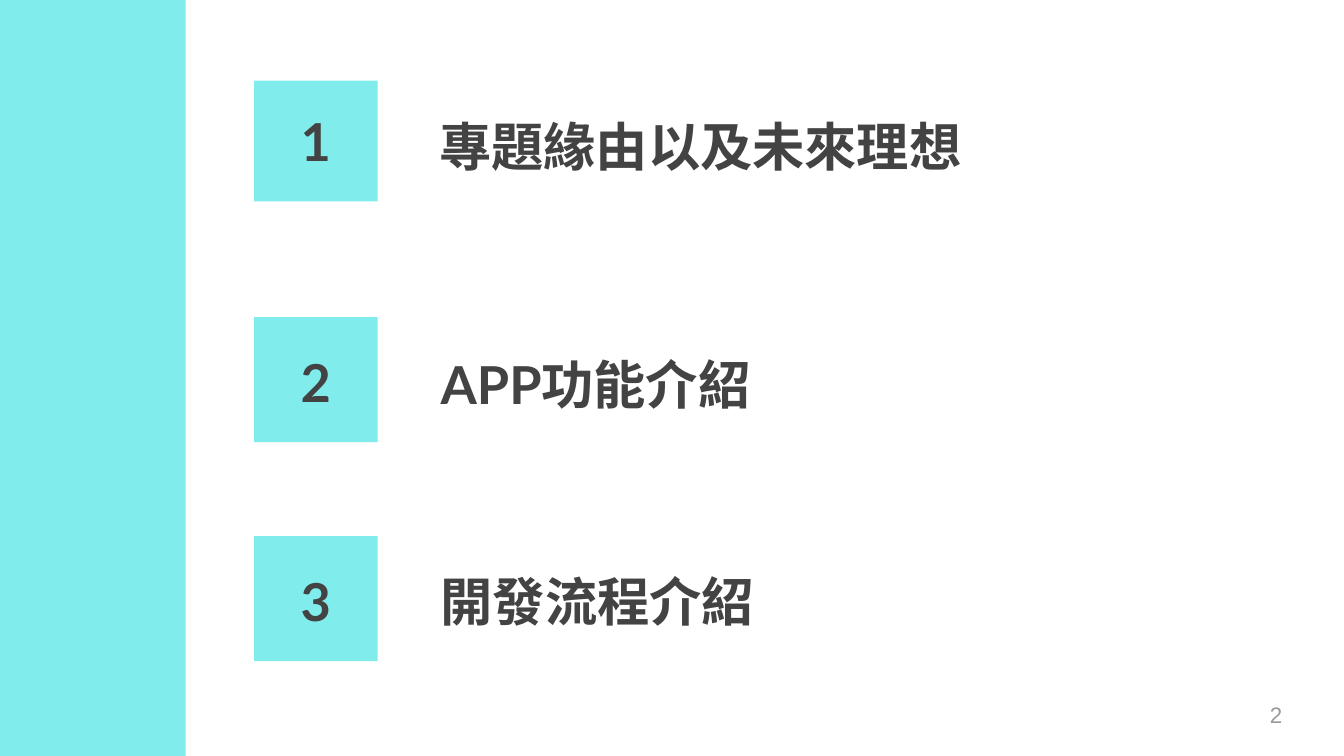
from dataclasses import dataclass

from pptx import Presentation
from pptx import util as u
from pptx.dml import color
from pptx.enum import shapes, text

AQUA, DARK, GREY = "81ECEC", "434343", "999999"
HEADING = {"name": "Lato", "size": u.Pt(28), "bold": True}
PAGE_NUMBER = {"name": "Arial", "size": u.Pt(12), "bold": False}
TILE_LEFT, TILE_WIDTH, NUMBER_HEIGHT = 136.1, 66.2, 64.8


@dataclass
class Area:
    left: float
    top: float
    width: float
    height: float

    def lengths(self) -> list:
        return [u.Pt(v) for v in (self.left, self.top, self.width, self.height)]


@dataclass
class Topic:
    label: str
    tile_top: float
    tile_height: float
    label_area: Area


TOPICS = [
    Topic("專題緣由以及未來理想", 43.2, 64.8, Area(228.2, 54.7, 445, 47.5)),
    Topic("APP功能介紹", 169.9, 67, Area(229, 175.7, 418.3, 54)),
    Topic("開發流程介紹", 287.3, 67, Area(229, 291.6, 418.3, 54)),
]


def rgb(value: str) -> color.RGBColor:
    return color.RGBColor.from_string(value)


def add_block(page, area: Area) -> None:
    block = page.shapes.add_shape(shapes.MSO_SHAPE.RECTANGLE, *area.lengths())
    block.shadow.inherit = False
    block.fill.solid()
    block.fill.fore_color.rgb = rgb(AQUA)
    block.line.fill.background()


def write(box, area: Area, words: str, font: dict, ink: str,
          anchor=text.MSO_ANCHOR.MIDDLE, align=text.PP_ALIGN.LEFT) -> None:
    box.left, box.top, box.width, box.height = area.lengths()
    frame = box.text_frame
    frame_format = {"word_wrap": True, "auto_size": text.MSO_AUTO_SIZE.NONE,
                    "vertical_anchor": anchor}
    for side in ("left", "top", "right", "bottom"):
        frame_format[f"margin_{side}"] = u.Pt(7.2)
    for name, value in frame_format.items():
        setattr(frame, name, value)
    para = frame.paragraphs[0]
    para.alignment = align
    span = para.add_run()
    span.text = words
    for name, value in font.items():
        setattr(span.font, name, value)
    span.font.color.rgb = rgb(ink)


def add_topic(page, number: int, topic: Topic) -> None:
    add_block(page, Area(TILE_LEFT, topic.tile_top, TILE_WIDTH, topic.tile_height))
    # The number sits at the bottom of its tile
    number_top = topic.tile_top + topic.tile_height - NUMBER_HEIGHT
    number_area = Area(TILE_LEFT, number_top, TILE_WIDTH, NUMBER_HEIGHT)
    write(page.shapes.add_textbox(*number_area.lengths()), number_area, str(number),
          HEADING, DARK, align=text.PP_ALIGN.CENTER)
    # The first topic takes the title placeholder
    if number == 1:
        box = page.shapes.title
    else:
        box = page.shapes.add_textbox(*topic.label_area.lengths())
    write(box, topic.label_area, topic.label, HEADING, DARK, text.MSO_ANCHOR.BOTTOM)


def main() -> None:
    deck = Presentation()
    deck.slide_width, deck.slide_height = u.Pt(720), u.Pt(405)
    page = deck.slides.add_slide(deck.slide_layouts.get_by_name("Title Only"))

    # Side band
    add_block(page, Area(0, 0, 99.4, 405))

    # Numbered topics
    for number, topic in enumerate(TOPICS, start=1):
        add_topic(page, number, topic)

    # Page number
    corner = Area(673.2, 367.2, 43.2, 31)
    write(page.shapes.add_textbox(*corner.lengths()), corner, "2", PAGE_NUMBER, GREY)

    deck.save("out.pptx")


if __name__ == "__main__":
    main()
